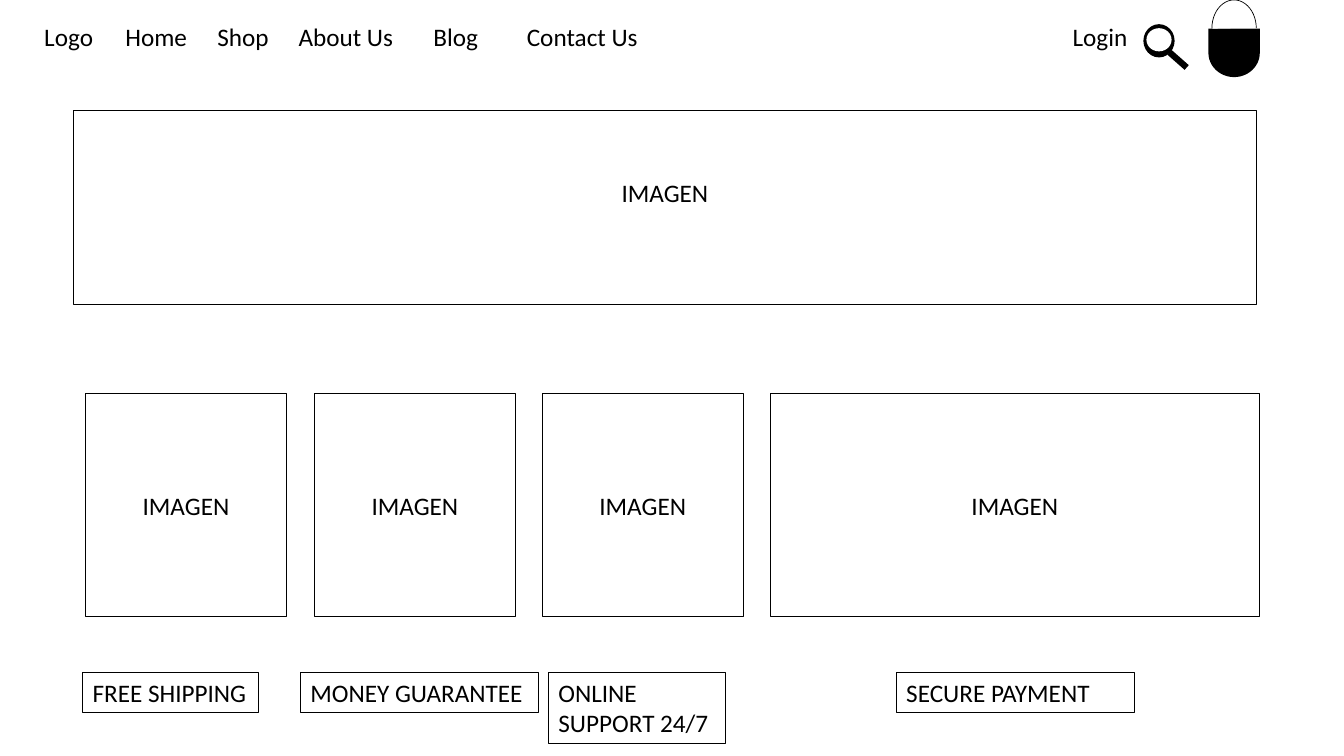
from dataclasses import dataclass

import pptx
import pptx.dml.color
import pptx.enum.dml
import pptx.enum.shapes
import pptx.enum.text
import pptx.oxml.ns
import pptx.shapes.autoshape
import pptx.util
from lxml import etree

PX = 9144  # 100 px to the inch
SHAPE = pptx.enum.shapes.MSO_SHAPE
ALIGN = pptx.enum.text.PP_ALIGN


@dataclass(frozen=True)
class Theme:
    black: str = "000000"
    white: str = "FFFFFF"
    font: str = "Calibri"
    text_pt: float = 18
    frame_pt: float = 0.75
    bag_pt: float = 0.5
    lens_handle_pt: float = 4.5


@dataclass(frozen=True)
class Box:
    x: int
    y: int
    w: int
    h: int


@dataclass(frozen=True)
class Label:
    text: str
    box: Box
    align: ALIGN = ALIGN.CENTER
    top: int = 5


THEME = Theme()
NAV_Y, NAV_H = 16, 40
CARD_X, CARD_Y, CARD_W, CARD_H, CARD_STEP = 85, 390, 199, 222, 226.5
PROMISE_Y = 667

NAV = [
    Label("Logo", Box(34, NAV_Y, 79, NAV_H), ALIGN.LEFT),
    Label("Home", Box(112, NAV_Y, 86, NAV_H)),
    Label("Shop", Box(198, NAV_Y, 86, NAV_H)),
    Label("About Us", Box(284, NAV_Y, 118, NAV_H)),
    Label("Blog", Box(393, NAV_Y, 118, NAV_H)),
    Label("Contact Us", Box(511, NAV_Y, 133, NAV_H)),
    Label("Login", Box(1032, NAV_Y, 118, NAV_H)),
]
HERO = Label("IMAGEN", Box(73, 110, 1173, 192), top=66)
CARDS = [
    Label("IMAGEN", Box(round(CARD_X + i * CARD_STEP), CARD_Y, w, CARD_H), top=96)
    for i, w in enumerate([CARD_W, CARD_W, CARD_W, 485])
]
PROMISES = [
    Label("FREE SHIPPING", Box(82, PROMISE_Y, 174, 40), ALIGN.LEFT),
    Label("MONEY GUARANTEE", Box(298, PROMISE_Y, 236, 40), ALIGN.LEFT),
    Label("ONLINE SUPPORT 24/7", Box(544, PROMISE_Y, 176, 71), ALIGN.LEFT),
    Label("SECURE PAYMENT", Box(889, PROMISE_Y, 236, 40), ALIGN.LEFT),
]


def rgb(value: str) -> pptx.dml.color.RGBColor:
    return pptx.dml.color.RGBColor.from_string(value)


def emu(box: Box) -> tuple[int, int, int, int]:
    return box.x * PX, box.y * PX, box.w * PX, box.h * PX


def write_label(sp: pptx.shapes.autoshape.Shape, label: Label) -> None:
    tf = sp.text_frame
    tf.text = label.text
    tf.word_wrap = True
    tf.vertical_anchor = pptx.enum.text.MSO_ANCHOR.TOP
    tf.margin_top = label.top * PX
    p = tf.paragraphs[0]
    p.alignment = label.align
    font = p.runs[0].font
    font.name = THEME.font
    font.size = pptx.util.Pt(THEME.text_pt)
    font.color.rgb = rgb(THEME.black)


def add_shape(s: pptx.slide.Slide, kind: SHAPE, box: Box, fill: str | None = None,
              line_pt: float = 0) -> pptx.shapes.autoshape.Shape:
    """Add a preset shape; no fill or no line where none is given."""
    sp = s.shapes.add_shape(kind, *emu(box))
    sp.shadow.inherit = False
    if fill:
        sp.fill.solid()
        sp.fill.fore_color.rgb = rgb(fill)
    else:
        sp.fill.background()
    if line_pt:
        sp.line.color.rgb = rgb(THEME.black)
        sp.line.width = pptx.util.Pt(line_pt)
    else:
        sp.line.fill.background()
    return sp


def add_search_icon(s: pptx.slide.Slide) -> None:
    add_shape(s, SHAPE.FLOWCHART_CONNECTOR, Box(1134, 24, 31, 33), THEME.black)
    add_shape(s, SHAPE.FLOWCHART_CONNECTOR, Box(1137, 28, 25, 23), THEME.white)
    handle = s.shapes.add_connector(
        pptx.enum.shapes.MSO_CONNECTOR.STRAIGHT, 1160 * PX, 52 * PX, 1177 * PX, 67 * PX)
    handle.line.color.rgb = rgb(THEME.black)
    handle.line.width = pptx.util.Pt(THEME.lens_handle_pt)
    etree.SubElement(handle._element.spPr, pptx.oxml.ns.qn("a:effectLst"))


def add_bag_icon(s: pptx.slide.Slide) -> None:
    bag = add_shape(s, SHAPE.FLOWCHART_DELAY, Box(1200, 27, 48, 51), THEME.black)
    bag.rotation = 90
    strap = add_shape(s, SHAPE.ARC, Box(1202, 0, 44, 56), THEME.white, THEME.bag_pt)
    strap.adjustments[0] = 107.284
    strap.adjustments[1] = 0


def main() -> None:
    prs = pptx.Presentation()
    prs.slide_width, prs.slide_height = 1333 * PX, 750 * PX
    s = prs.slides.add_slide(prs.slide_layouts[6])
    for item in NAV:
        write_label(s.shapes.add_textbox(*emu(item.box)), item)
    add_search_icon(s)
    add_bag_icon(s)
    for item in [HERO, *CARDS, *PROMISES]:
        write_label(add_shape(s, SHAPE.RECTANGLE, item.box, line_pt=THEME.frame_pt), item)
    prs.save("out.pptx")


if __name__ == "__main__":
    main()
